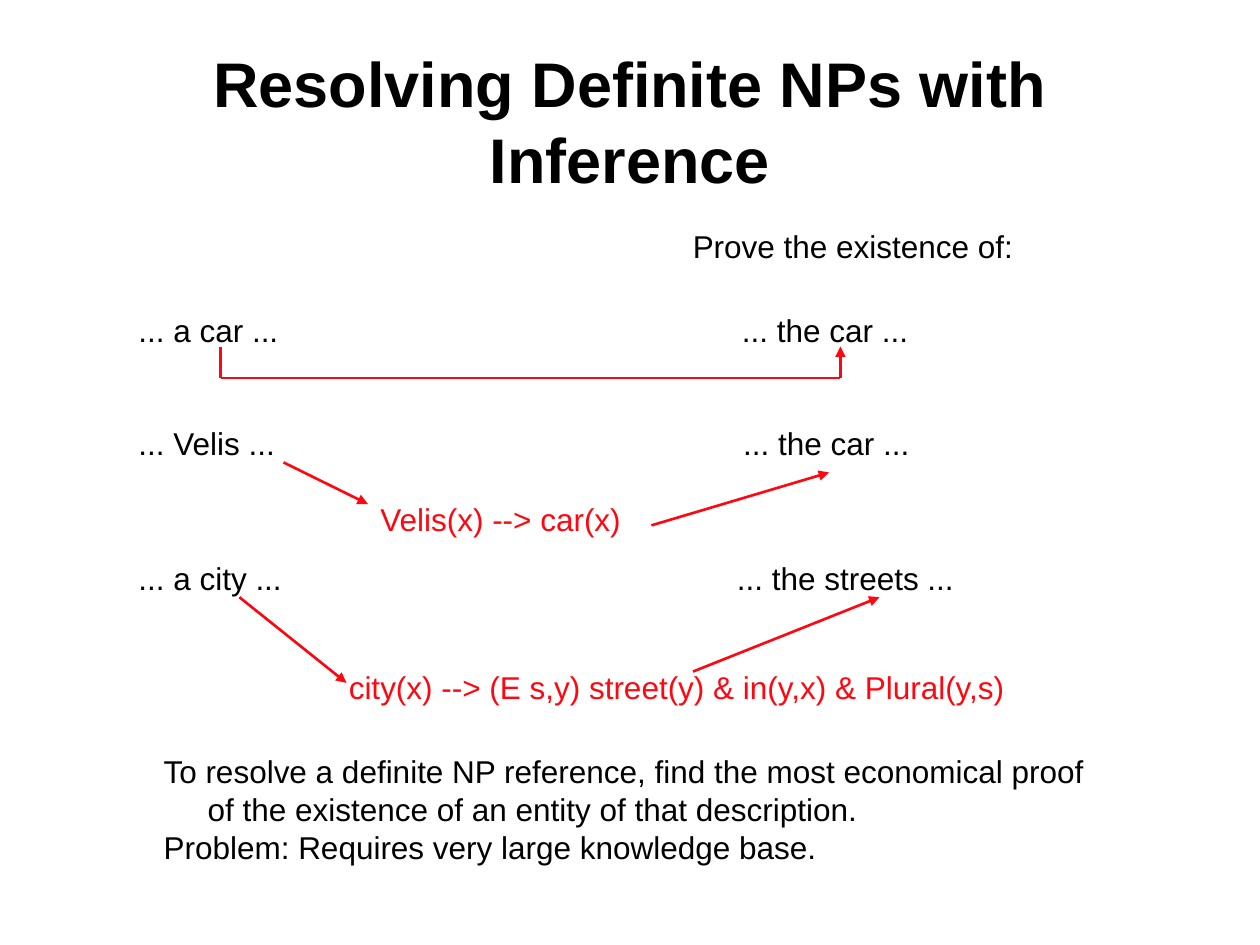
"""Build a slide on resolving definite noun phrases with inference."""
from lxml import etree
from pptx import Presentation
from pptx.dml.color import RGBColor
from pptx.enum.shapes import MSO_CONNECTOR
from pptx.enum.text import MSO_ANCHOR, PP_ALIGN
from pptx.oxml.ns import qn
from pptx.util import Inches, Pt

STRAIGHT = MSO_CONNECTOR.STRAIGHT
MIDDLE, TOP = MSO_ANCHOR.MIDDLE, MSO_ANCHOR.TOP
CENTER, LEFT = PP_ALIGN.CENTER, PP_ALIGN.LEFT
BLACK = RGBColor(0x00, 0x00, 0x00)
RED = RGBColor(0xFF, 0x07, 0x10)
LINE_HEIGHT = 0.4
MENTION_LEFT = 1

TITLE = "Resolving Definite NPs with Inference"
GOAL = ("Prove the existence of:", 5.4, 1.75, 2.74)
EXAMPLES = [
    (2.42, "... a car ...", 5.79, "... the car ..."),
    (3.32, "... Velis ...", 5.8, "... the car ..."),
    (4.39, "... a city ...", 5.75, "... the streets ..."),
]
AXIOMS = [
    ("Velis(x) --> car(x)", 2.92, 3.92, 2.15),
    ("city(x) --> (E s,y) street(y) & in(y,x) & Plural(y,s)", 2.67, 5.25, 5.44),
]
CONCLUSIONS = [
    "To resolve a definite NP reference, find the most economical proof "
    "of the existence of an entity of that description.",
    "Problem: Requires very large knowledge base.",
]
INFERENCE_ROUTES = [
    [(2.25, 3.67), (2.92, 4)],
    [(5.17, 4.17), (6.58, 3.75)],
    [(1.9, 4.74), (2.75, 5.42)],
    [(5.5, 5.33), (6.98, 4.74)],
    [(1.75, 2.75), (1.75, 3), (6.67, 3), (6.67, 2.75)],
]


def add_text(slide, lines, left, top, width, height=LINE_HEIGHT, color=BLACK,
             size=18, bold=False, align=LEFT, anchor=TOP, wrap=False, hanging=0):
    frame = slide.shapes.add_textbox(
        Inches(left), Inches(top), Inches(width), Inches(height)).text_frame
    frame.word_wrap = wrap
    frame.vertical_anchor = anchor
    for index, line in enumerate(lines):
        paragraph = frame.add_paragraph() if index else frame.paragraphs[0]
        paragraph.alignment = align
        if hanging:
            properties = paragraph._p.get_or_add_pPr()
            properties.set("marL", str(Inches(hanging)))
            properties.set("indent", str(-Inches(hanging)))
        run = paragraph.add_run()
        run.text = line
        run.font.name = "Arial"
        run.font.size = Pt(size)
        run.font.bold = bold
        run.font.color.rgb = color


def add_route(slide, points):
    for start, end in zip(points, points[1:]):
        segment = slide.shapes.add_connector(
            STRAIGHT, *(Inches(length) for length in start + end))
        segment.line.color.rgb = RED
        segment.line.width = Pt(1.5)
        if end == points[-1]:
            outline = segment.line._get_or_add_ln()
            etree.SubElement(outline, qn("a:tailEnd"), type="triangle")
        etree.SubElement(segment._element.spPr, qn("a:effectLst"))


def main():
    presentation = Presentation()
    presentation.slide_width = Inches(10)
    presentation.slide_height = Inches(7.5)
    slide = presentation.slides.add_slide(presentation.slide_layouts[6])

    add_text(slide, [TITLE], 0.75, 0.33, 8.5, 1.25, size=36, bold=True,
             align=CENTER, anchor=MIDDLE, wrap=True)
    goal, left, top, width = GOAL
    add_text(slide, [goal], left, top, width)
    for top, mention, reference_left, reference in EXAMPLES:
        add_text(slide, [mention], MENTION_LEFT, top, 1.6)
        add_text(slide, [reference], reference_left, top, 2)
    for axiom, left, top, width in AXIOMS:
        add_text(slide, [axiom], left, top, width, color=RED)
    add_text(slide, CONCLUSIONS, 1.2, 5.92, 7.6, 1, wrap=True, hanging=0.35)
    for points in INFERENCE_ROUTES:
        add_route(slide, points)

    presentation.save("out.pptx")


if __name__ == "__main__":
    main()
